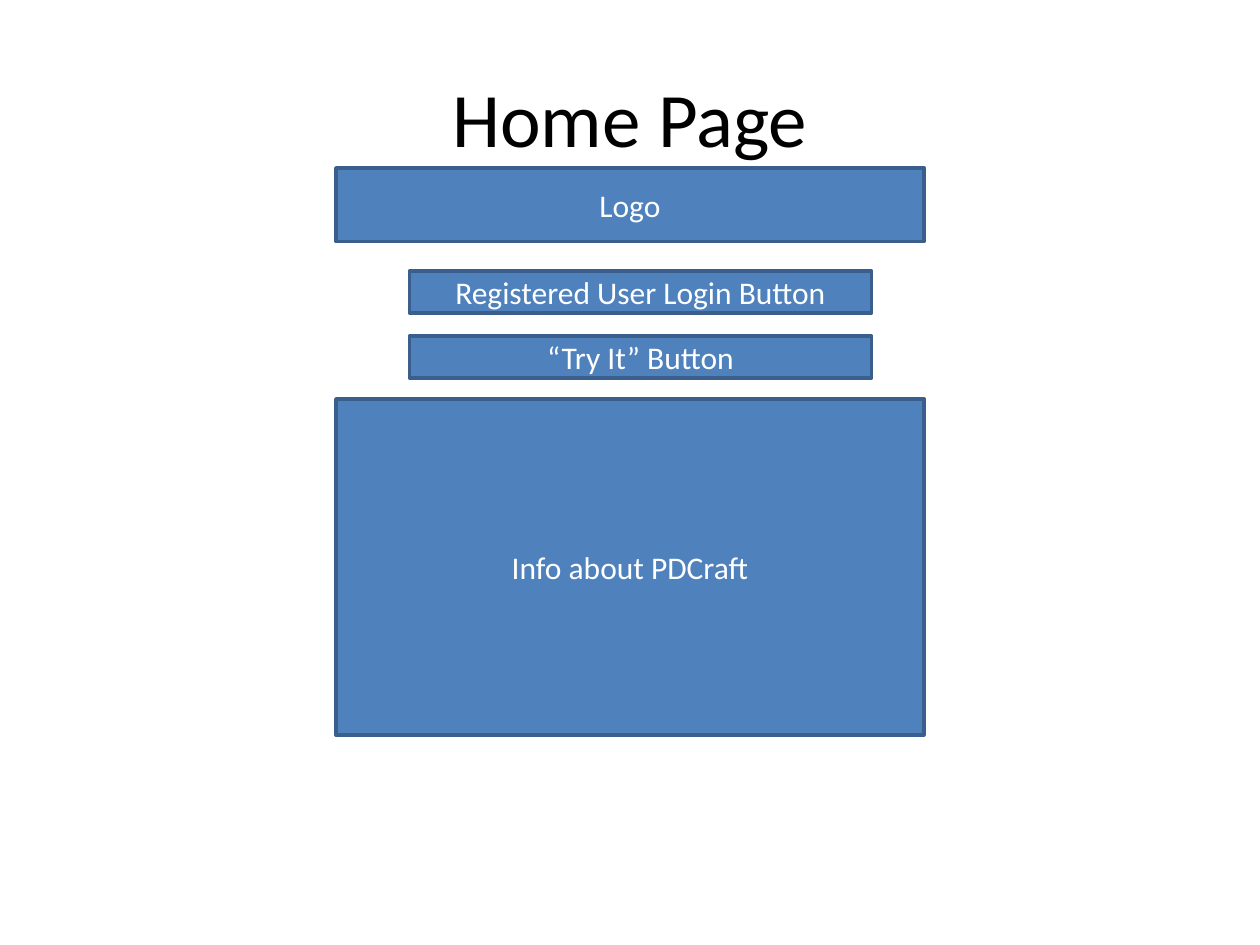
from pptx import Presentation
from pptx.dml.color import RGBColor
from pptx.enum.shapes import MSO_SHAPE
from pptx.enum.text import MSO_ANCHOR, PP_ALIGN
from pptx.util import Inches, Pt

COLORS = {"fill": "4F81BD", "line": "3A5F8C", "title": "000000", "label": "FFFFFF"}
UNITS_PER_INCH = 12
TITLE = "Home Page"
TITLE_AREA = (6, 3.6, 108, 15)
PANEL = {"left": 32, "width": 56}
BUTTON = {"left": 39, "width": 44}
BLOCKS = [
    ("Logo", PANEL, 16, 7),
    ("Info about PDCraft", PANEL, 38, 32),
    ("Registered User Login Button", BUTTON, 25.8, 4),
    ("“Try It” Button", BUTTON, 32, 4),
]


def color(name):
    return RGBColor.from_string(COLORS[name])


def grid(*units):
    return [Inches(unit / UNITS_PER_INCH) for unit in units]


def write(shape, text, size, color_name):
    frame = shape.text_frame
    frame.word_wrap = True
    frame.vertical_anchor = MSO_ANCHOR.MIDDLE
    para = frame.paragraphs[0]
    para.alignment = PP_ALIGN.CENTER
    span = para.add_run()
    span.text = text
    for key, value in {"name": "Calibri", "size": Pt(size)}.items():
        setattr(span.font, key, value)
    span.font.color.rgb = color(color_name)


def add_block(page, text, column, top, height):
    box = page.shapes.add_shape(
        MSO_SHAPE.RECTANGLE, *grid(column["left"], top, column["width"], height)
    )
    box.shadow.inherit = False
    box.fill.solid()
    box.fill.fore_color.rgb = color("fill")
    box.line.color.rgb = color("line")
    box.line.width = Pt(2)
    write(box, text, 18, "label")


def build():
    """Build the home page wireframe slide."""
    deck = Presentation()
    deck.slide_width, deck.slide_height = Inches(10), Inches(7.5)
    page = deck.slides.add_slide(deck.slide_layouts[5])
    title = page.shapes.title
    for key, value in zip(("left", "top", "width", "height"), grid(*TITLE_AREA)):
        setattr(title, key, value)
    write(title, TITLE, 44, "title")
    for block in BLOCKS:
        add_block(page, *block)
    deck.save("out.pptx")


build()
